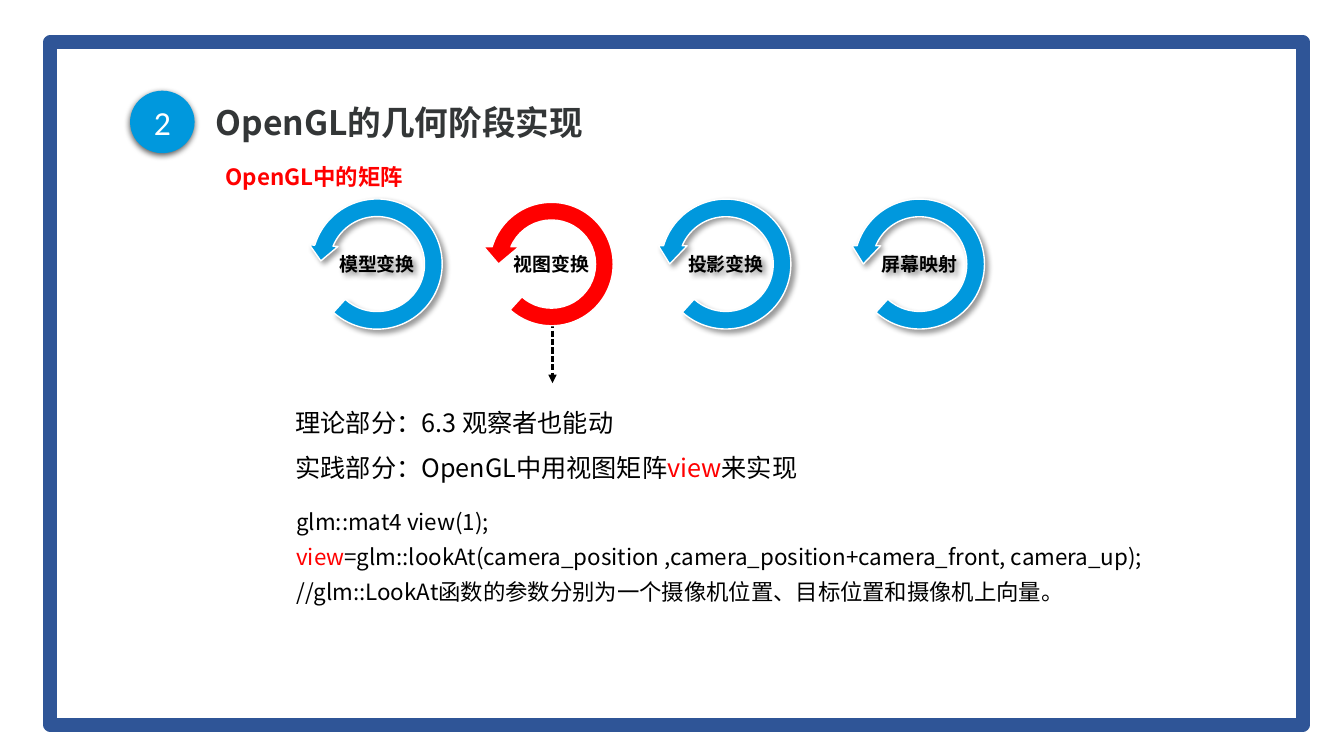
from lxml.etree import SubElement
from pptx import Presentation
from pptx.dml.color import RGBColor as Rgb
from pptx.enum.dml import MSO_LINE as Dash
from pptx.enum.shapes import MSO_CONNECTOR as Conn, MSO_SHAPE as Kind
from pptx.enum.text import MSO_ANCHOR as Anchor, PP_ALIGN as Align
from pptx.oxml.ns import qn
from pptx.util import Pt

PX = 9144
COLORS = {
    "white": "FFFFFF",
    "black": "000000",
    "gray": "333637",
    "red": "FF0000",
    "blue": "0098DD",
    "navy": "2F5597",
}
SANS = "Noto Sans CJK SC"


def rgb(name):
    return Rgb.from_string(COLORS[name])


class Deck:
    def __init__(self, wide, high):
        self.show = Presentation()
        self.show.slide_width = wide * PX
        self.show.slide_height = high * PX
        self.slide = self.show.slides.add_slide(self.show.slide_layouts[6])

    def shape(self, kind, spot, fill=None, line=None, weight=1, shade=None):
        item = self.slide.shapes.add_shape(kind, *(n * PX for n in spot))
        item.shadow.inherit = False
        if fill:
            item.fill.solid()
            item.fill.fore_color.rgb = rgb(fill)
        else:
            item.fill.background()
        if line:
            item.line.color.rgb = rgb(line)
            item.line.width = Pt(weight)
        else:
            item.line.fill.background()
        if shade:
            self.shade(item, *shade)
        return item

    def shade(self, item, alpha, blur, dist, angle):
        group = item._element.spPr.find(qn("a:effectLst"))
        drop = SubElement(group, qn("a:outerShdw"), blurRad=str(Pt(blur)),
                          dist=str(Pt(dist)), dir=str(angle * 60000),
                          algn="ctr", rotWithShape="0")
        tone = SubElement(drop, qn("a:srgbClr"), val=COLORS["black"])
        SubElement(tone, qn("a:alpha"), val=str(alpha * 1000))

    def letter(self, item, lines, size, color="black", bold=False, font=SANS,
               align=Align.LEFT, anchor=Anchor.TOP, space=1.0, inset=(10, 5),
               wrap=True):
        frame = item.text_frame
        frame.word_wrap = wrap
        frame.vertical_anchor = anchor
        frame.margin_left = frame.margin_right = inset[0] * PX
        frame.margin_top = frame.margin_bottom = inset[1] * PX
        for i, line in enumerate(lines):
            para = frame.add_paragraph() if i else frame.paragraphs[0]
            para.alignment = align
            para.line_spacing = space
            para.font.size = Pt(size)
            para.font.bold = bold
            para.font.name = font
            para.font.color.rgb = rgb(color)
            base = para._p.pPr.find(qn("a:defRPr"))
            SubElement(base, qn("a:ea"), typeface=font)
            for part in [line] if isinstance(line, str) else line:
                run = para.add_run()
                if isinstance(part, str):
                    run.text = part
                else:
                    run.text, tint = part
                    run.font.color.rgb = rgb(tint)

    def text(self, spot, lines, size, **style):
        item = self.slide.shapes.add_textbox(*(n * PX for n in spot))
        self.letter(item, lines, size, **style)

    def ring(self, left, label, fill, turn, edge, shade):
        item = self.shape(Kind.CIRCULAR_ARROW, (left, 192, 140, 140),
                          fill, "white", shade=shade)
        item._element.spPr.find(qn("a:xfrm")).set("flipH", "1")
        for i, value in enumerate((0.125, turn, 204.577, 28.753, edge)):
            item.adjustments[i] = value
        self.letter(item, [label], 13.5, bold=True, align=Align.CENTER,
                    anchor=Anchor.MIDDLE, inset=(7, 4), wrap=bool(shade))

    def arrow(self, x, top, end):
        item = self.slide.shapes.add_connector(
            Conn.STRAIGHT, x * PX, top * PX, x * PX, end * PX)
        item.line.color.rgb = rgb("black")
        item.line.width = Pt(1.5)
        item.line.dash_style = Dash.SQUARE_DOT
        props = item._element.spPr
        line = props.find(qn("a:ln"))
        SubElement(line, qn("a:headEnd"), type="oval")
        SubElement(line, qn("a:tailEnd"), type="triangle")
        SubElement(props, qn("a:effectLst"))


def main():
    deck = Deck(1333, 750)
    deck.shape(Kind.RECTANGLE, (58, 50, 1225, 662), "white")
    deck.shape(Kind.RECTANGLE, (50, 42, 1242, 677), line="navy", weight=10)

    deck.text((204, 93, 835, 61), ["OpenGL的几何阶段实现"], 24, color="gray",
              bold=True, anchor=Anchor.MIDDLE, space=0.9)
    badge = deck.shape(Kind.OVAL, (129, 90, 64, 62), "blue",
                       shade=(63, 4.5, 1.5, 90))
    deck.letter(badge, ["2"], 24, color="white", font="Calibri",
                align=Align.CENTER, anchor=Anchor.MIDDLE)

    deck.arrow(548, 316, 380)
    soft = (40, 4, 3, 45)
    for step in (
        (304, "模型变换", "blue", 9.491, 0.101, soft),
        (477, "视图变换", "red", 11.423, 0.125, None),
        (650, "投影变换", "blue", 11.423, 0.102, soft),
        (842, "屏幕映射", "blue", 11.423, 0.102, soft),
    ):
        deck.ring(*step)

    view = ("view", "red")
    deck.text((286, 385, 581, 98), [
        "理论部分：6.3 观察者也能动",
        ["实践部分：OpenGL中用视图矩阵", view, "来实现"],
    ], 18, space=1.5, inset=(7, 4))
    deck.text((214, 157, 200, 64), ["OpenGL中的矩阵"], 16, color="red", bold=True)
    deck.text((284, 491, 951, 115), [
        "glm::mat4 view(1);",
        [view, "=glm::lookAt(camera_position ,camera_position+camera_front, camera_up);"],
        "//glm::LookAt函数的参数分别为一个摄像机位置、目标位置和摄像机上向量。",
    ], 16, space=1.3)
    deck.show.save("out.pptx")


if __name__ == "__main__":
    main()
